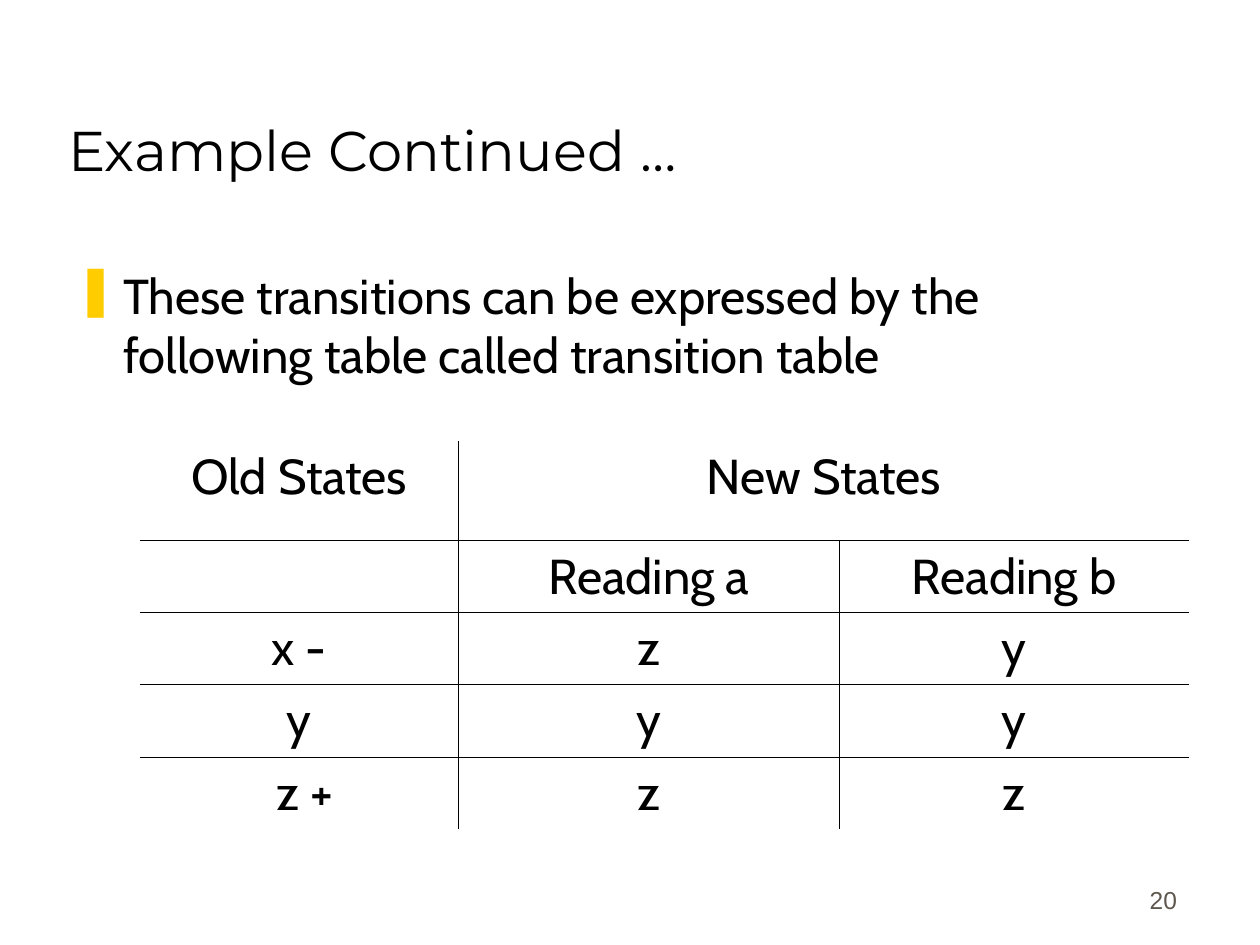
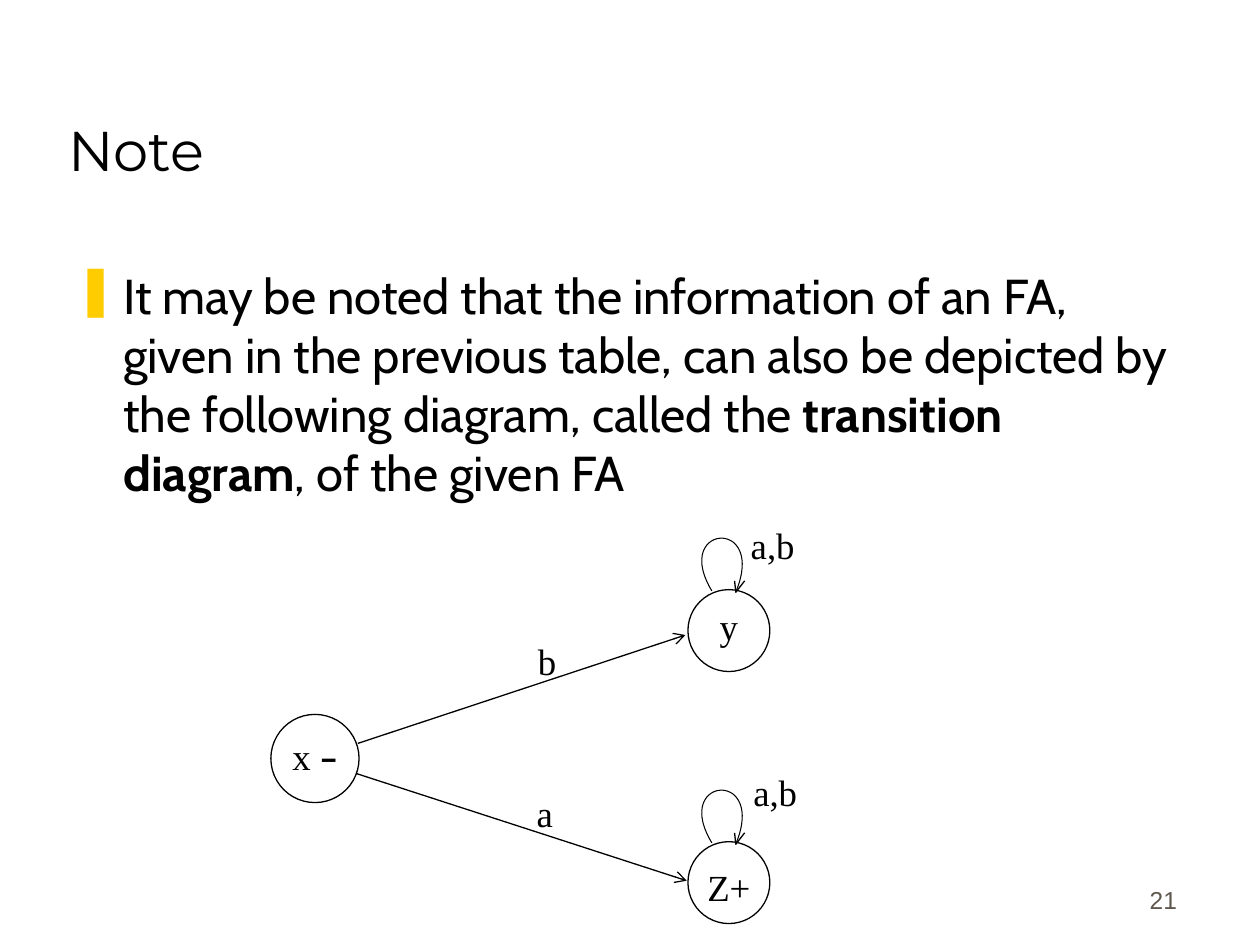
import dataclasses
import typing

import lxml.etree
import pptx
import pptx.dml.color
import pptx.enum.shapes
import pptx.enum.text
import pptx.oxml.ns
import pptx.slide
import pptx.util

Inches = pptx.util.Inches
Align = pptx.enum.text.PP_ALIGN
Anchor = pptx.enum.text.MSO_ANCHOR

COLOURS = {"ink": "000000", "paper": "FFFFFF", "bullet": "FFCC00", "number": "5E574E"}
HEADING, BODY, NUMBER, DIAGRAM = "Montserrat", "Cabin", "Arial", "Times New Roman"
TABLE_LINE = 0.45


@dataclasses.dataclass(frozen=True)
class Span:
    text: str
    font: str = BODY
    size: float = 28
    bold: bool = False
    colour: str = "ink"


@dataclasses.dataclass(frozen=True)
class State:
    left: float
    top: float
    size: float
    spans: tuple[Span, ...]
    drop: float = 0  # how far the text sits below the middle
    loop: bool = False


@dataclasses.dataclass(frozen=True)
class Edge:
    start: tuple[float, float]
    end: tuple[float, float]


@dataclasses.dataclass(frozen=True)
class Label:
    text: str
    left: float
    top: float


def rgb(name: str) -> pptx.dml.color.RGBColor:
    return pptx.dml.color.RGBColor.from_string(COLOURS[name])


def add_xml(parent: typing.Any, tag: str, **attributes: str) -> typing.Any:
    return lxml.etree.SubElement(parent, pptx.oxml.ns.qn(tag), attributes)


def write(para: typing.Any, *spans: Span, align: typing.Any = Align.LEFT) -> None:
    para.alignment = align
    for span in spans:
        run = para.add_run()
        run.text = span.text
        run.font.name = span.font
        run.font.size = pptx.util.Pt(span.size)
        run.font.bold = span.bold
        run.font.color.rgb = rgb(span.colour)


def set_line(shape: typing.Any, width: float) -> None:
    shape.line.color.rgb = rgb("ink")
    shape.line.width = pptx.util.Pt(width)


def add_box(page: pptx.slide.Slide, left: float, top: float, width: float, height: float) -> typing.Any:
    box = page.shapes.add_textbox(Inches(left), Inches(top), Inches(width), Inches(height))
    box.text_frame.word_wrap = True
    return box.text_frame


# Parts that every slide shares
def add_page(deck: typing.Any, title: str, number: int) -> pptx.slide.Slide:
    page = deck.slides.add_slide(deck.slide_layouts[5])
    heading = page.shapes.title
    heading.left, heading.top = Inches(0.44), Inches(0.25)
    heading.width, heading.height = Inches(8.5), Inches(1.25)
    heading.text_frame.vertical_anchor = Anchor.BOTTOM
    write(heading.text_frame.paragraphs[0], Span(title, HEADING, 32))

    footer = add_box(page, 7.36, 6.81, 2.08, 0.5)
    footer.vertical_anchor = Anchor.BOTTOM
    write(footer.paragraphs[0], Span(str(number), NUMBER, 14, colour="number"), align=Align.RIGHT)
    return page


def add_bullet(page: pptx.slide.Slide, width: float, *spans: Span) -> None:
    para = add_box(page, 0.5, 2.06, width, 4.56).paragraphs[0]
    props = para._p.get_or_add_pPr()
    props.set("marL", str(Inches(0.38)))
    props.set("indent", str(-Inches(0.38)))
    add_xml(add_xml(props, "a:buClr"), "a:srgbClr", val=COLOURS["bullet"])
    add_xml(props, "a:buChar", char="❚")
    write(para, *spans)


# Transition table
def set_borders(cell: typing.Any, shown: dict[str, bool]) -> None:
    props = cell._tc.get_or_add_tcPr()
    for side in "LRTB":
        width = pptx.util.Pt(TABLE_LINE)
        border = add_xml(props, f"a:ln{side}", w=str(width))
        if shown[side]:
            add_xml(add_xml(border, "a:solidFill"), "a:srgbClr", val=COLOURS["ink"])
        else:
            add_xml(border, "a:noFill")


def add_transition_table(page: pptx.slide.Slide) -> None:
    rows = [
        ("Old States", "New States", ""),
        ("", "Reading a", "Reading b"),
        ("x -", "z", "y"),
        ("y", "y", "y"),
        ("z +", "z", "z"),
    ]
    widths = (2.53, 3.02, 2.78)
    heights = (0.79, 0.57, 0.57, 0.58, 0.57)
    frame = page.shapes.add_table(
        len(rows), len(widths), Inches(1.11), Inches(3.5), Inches(sum(widths)), Inches(sum(heights)))
    table = frame.table
    table.first_row = table.horz_banding = False
    for column, width in zip(table.columns, widths):
        column.width = Inches(width)
    for row, height in zip(table.rows, heights):
        row.height = Inches(height)
    table.cell(0, 1).merge(table.cell(0, 2))

    last_row, last_column = len(rows) - 1, len(widths) - 1
    for r, texts in enumerate(rows):
        for c, text in enumerate(texts):
            cell = table.cell(r, c)
            header = r == 0
            set_borders(cell, {
                "L": c > 0 and not (header and c == 2),
                "R": c < last_column and not (header and c == 1),
                "T": r > 0,
                "B": r < last_row,
            })
            cell.fill.background()
            if text:
                write(cell.text_frame.paragraphs[0], Span(text), align=Align.CENTER)
    table.cell(last_row, 0).margin_left = Inches(0.19)


# Transition diagram
def add_path(page: pptx.slide.Slide, points: list[tuple[float, float]], width: float) -> None:
    (x, y), *rest = [(Inches(px), Inches(py)) for px, py in points]
    builder = page.shapes.build_freeform(x, y)
    builder.add_line_segments(rest, close=False)
    path = builder.convert_to_shape()
    path.fill.background()
    path.shadow.inherit = False
    set_line(path, width)


def bezier(controls: list[tuple[float, float]], steps: int = 40) -> list[tuple[float, float]]:
    points = []
    for step in range(steps + 1):
        t = step / steps
        weights = ((1 - t) ** 3, 3 * t * (1 - t) ** 2, 3 * t ** 2 * (1 - t), t ** 3)
        points.append((sum(w * p[0] for w, p in zip(weights, controls)),
                       sum(w * p[1] for w, p in zip(weights, controls))))
    return points


def add_loop(page: pptx.slide.Slide, left: float, top: float) -> None:
    curve = [(0.19, 0.01), (-0.13, -0.52), (0.63, -0.58), (0.38, 0.02)]
    head = [(0.37, -0.07), (0.38, 0.02), (0.45, -0.07)]
    for points, width in ((bezier(curve), 0.6), (head, 0.75)):
        add_path(page, [(left + x, top + y) for x, y in points], width)


def add_state(page: pptx.slide.Slide, state: State) -> None:
    circle = page.shapes.add_shape(
        pptx.enum.shapes.MSO_SHAPE.OVAL,
        Inches(state.left), Inches(state.top), Inches(state.size), Inches(state.size))
    circle.shadow.inherit = False
    circle.fill.solid()
    circle.fill.fore_color.rgb = rgb("paper")
    set_line(circle, 0.75)
    frame = circle.text_frame
    frame.word_wrap = False
    frame.vertical_anchor = Anchor.MIDDLE
    frame.margin_left = frame.margin_right = 0
    frame.margin_top = Inches(max(0, 2 * state.drop))
    frame.margin_bottom = Inches(max(0, -2 * state.drop))
    write(frame.paragraphs[0], *state.spans, align=Align.CENTER)
    if state.loop:
        add_loop(page, state.left, state.top)


def add_edge(page: pptx.slide.Slide, edge: Edge) -> None:
    arrow = page.shapes.add_connector(
        pptx.enum.shapes.MSO_CONNECTOR.STRAIGHT, *(Inches(v) for v in edge.start + edge.end))
    set_line(arrow, 0.75)
    add_xml(arrow.line._get_or_add_ln(), "a:tailEnd", type="arrow")
    add_xml(arrow._element.spPr, "a:effectLst")


def add_label(page: pptx.slide.Slide, label: Label) -> None:
    frame = add_box(page, label.left, label.top, 0.98, 0.68)
    write(frame.paragraphs[0], Span(label.text, DIAGRAM, 21))


def add_transition_diagram(page: pptx.slide.Slide) -> None:
    start_name = (Span("x ", DIAGRAM, 21), Span("–", BODY, 20, bold=True))
    states = [
        State(2.15, 5.67, 0.7, start_name, -0.02),
        State(5.46, 4.68, 0.65, (Span("y", DIAGRAM, 21),), -0.04, loop=True),
        State(5.46, 6.68, 0.65, (Span("Z+", DIAGRAM, 21),), 0.03, loop=True),
    ]
    edges = [Edge((2.84, 5.9), (5.44, 5.04)), Edge((2.83, 6.14), (5.45, 6.99))]
    labels = [
        Label("b", 4.17, 5.02),
        Label("a", 4.16, 6.23),
        Label("a,b", 5.86, 4.1),
        Label("a,b", 5.88, 6.06),
    ]
    for state in states:
        add_state(page, state)
    for edge in edges:
        add_edge(page, edge)
    for label in labels:
        add_label(page, label)


def main() -> None:
    deck = pptx.Presentation()
    deck.slide_width, deck.slide_height = Inches(10), Inches(7.5)

    # Slide 20: table
    page = add_page(deck, "Example Continued …", 20)
    add_bullet(page, 8.5, Span(
        "These transitions can be expressed by the following table called transition table"))
    add_transition_table(page)

    # Slide 21: diagram
    page = add_page(deck, "Note", 21)
    add_bullet(
        page, 8.94,
        Span("It may be noted that the information of an FA, given in the previous table, "
             "can also be depicted by the following diagram, called the "),
        Span("transition diagram", bold=True),
        Span(", of the given FA"))
    add_transition_diagram(page)

    deck.save("out.pptx")


if __name__ == "__main__":
    main()
